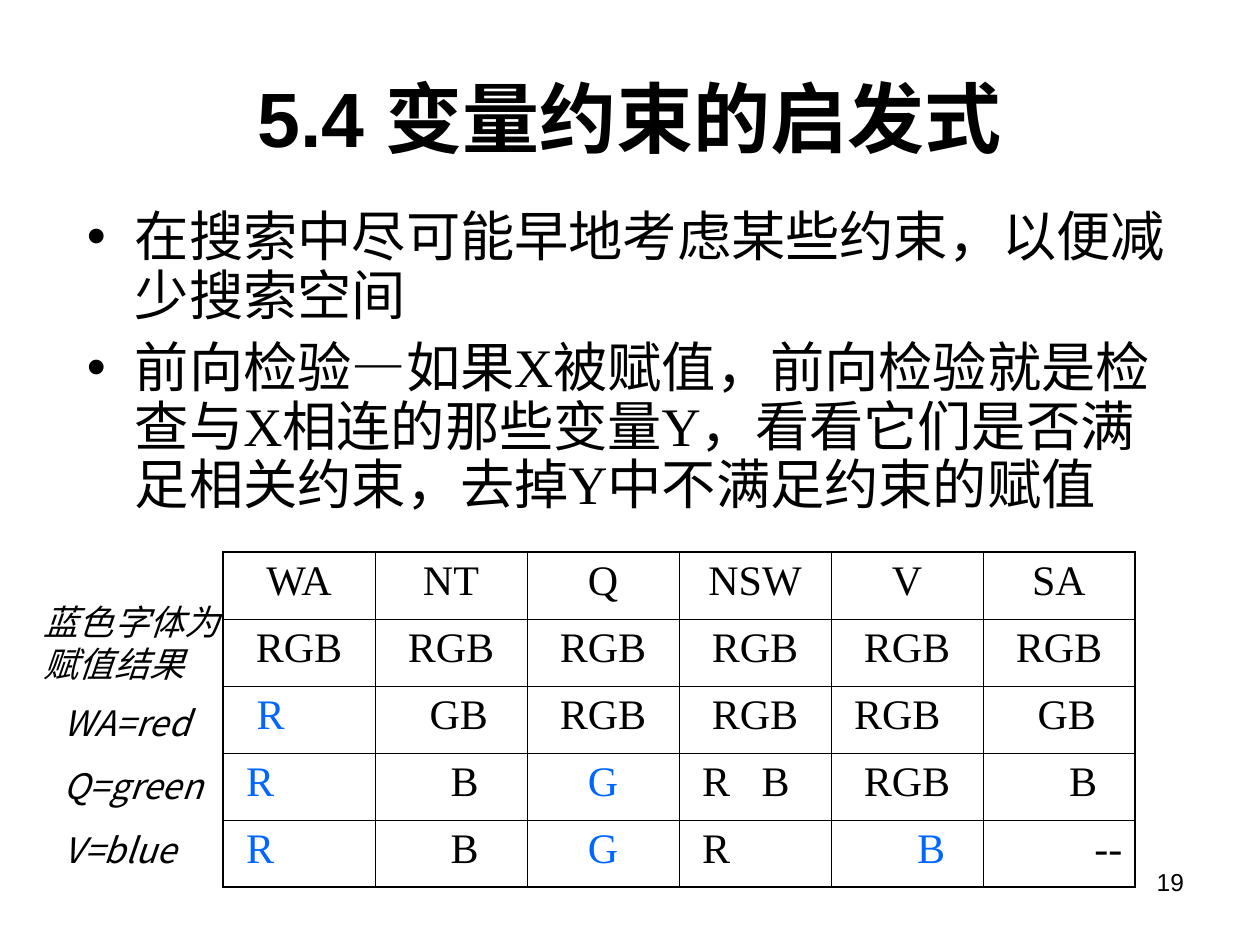
from lxml.etree import SubElement
from pptx import Presentation
from pptx.dml.color import RGBColor
from pptx.enum.text import MSO_ANCHOR, MSO_AUTO_SIZE, PP_ALIGN
from pptx.oxml import parse_xml
from pptx.oxml.ns import nsdecls, qn
from pptx.util import Emu, Pt

COLORS = {"ink": "000000", "assigned": "0066FF"}
LATIN, SERIF, CJK = "Arial", "Times New Roman", "Noto Sans CJK KR"
PADDING = (13, 6, 13, 6)
SPACE = 10.5
THIN, THICK = 0.45, 1.08


def px(length):
    """Turn pixels into EMU."""
    return Emu(round(length * 914400 / 126))


def set_all(target, values):
    """Set every attribute named in a dict."""
    for name, value in values.items():
        setattr(target, name, value)


class SlideBuilder:
    """Holds the text style and the page being built."""

    def __init__(self, page):
        """Keep the page and the shared cell style."""
        self.page = page
        self.cell_style = {"size": Pt(24), "name": SERIF}
        self.cell_para = {"space_before": Pt(6)}

    def spans(self, para, pieces, style, color="ink"):
        """Add (text, overrides) pieces to a paragraph."""
        for text, changes in pieces:
            span = para.add_run()
            span.text = text
            set_all(span.font, style | changes)
            span.font.color.rgb = RGBColor.from_string(COLORS[color])

    def text(self, place, paras, style, para_format, frame_format=None, padding=PADDING, bullet=False):
        """Add a text box with one paragraph per list of pieces."""
        box = self.page.shapes.add_textbox(*map(px, place))
        frame = box.text_frame
        sides = ("margin_left", "margin_top", "margin_right", "margin_bottom")
        set_all(frame, {"word_wrap": True} | dict(zip(sides, map(px, padding))) | (frame_format or {}))
        for index, pieces in enumerate(paras):
            para = frame.add_paragraph() if index else frame.paragraphs[0]
            set_all(para, para_format)
            self.spans(para, pieces, style)
            if bullet:
                self.bullet(para)

    def bullet(self, para):
        """Give a paragraph a hanging bullet."""
        properties = para._p.get_or_add_pPr()
        properties.set("marL", str(px(48)))
        properties.set("indent", str(-px(48)))
        SubElement(properties, qn("a:buFont"), typeface=LATIN)
        SubElement(properties, qn("a:buChar"), char="•")

    def borders(self, cell, widths):
        """Draw the left, right, top and bottom borders of a cell."""
        for index, (side, width) in enumerate(zip("LRTB", widths)):
            line = parse_xml(
                f'<a:ln{side} {nsdecls("a")} w="{Pt(width)}"><a:solidFill>'
                f'<a:srgbClr val="{COLORS["ink"]}"/></a:solidFill></a:ln{side}>'
            )
            cell._tc.get_or_add_tcPr().insert(index, line)

    def fill_cell(self, cell, text, place=PP_ALIGN.CENTER, color="ink"):
        """Write a cell, aligned or indented by a number of spaces."""
        para = cell.text_frame.paragraphs[0]
        set_all(para, self.cell_para)
        if isinstance(place, PP_ALIGN):
            para.alignment = place
        else:
            para.alignment = PP_ALIGN.LEFT
            para._p.get_or_add_pPr().set("marL", str(px(place * SPACE)))
        for index, word in enumerate(text.split(" ")):
            if index:
                self.spans(para, [(" ", {})], self.cell_style)
                para.runs[-1]._r.get_or_add_rPr().set("spc", "1200")
            self.spans(para, [(word, {})], self.cell_style, color)

    def table(self, left, top, column, height, rows):
        """Add a ruled table with a heavier outer frame."""
        last_row, last_column = len(rows) - 1, len(rows[0]) - 1
        size = (column * len(rows[0]), height * len(rows))
        grid = self.page.shapes.add_table(len(rows), len(rows[0]), *map(px, (left, top, *size))).table
        set_all(grid, {"first_row": False, "horz_banding": False})
        for part in grid.columns:
            part.width = px(column)
        for part in grid.rows:
            part.height = px(height)
        for r, row in enumerate(rows):
            for c, content in enumerate(row):
                cell = grid.cell(r, c)
                cell.fill.background()
                self.fill_cell(cell, *content)
                edges = (c == 0, c == last_column, r == 0, r == last_row)
                self.borders(cell, [THICK if edge else THIN for edge in edges])


def main():
    """Build the slide and save the deck."""
    deck = Presentation()
    set_all(deck, {"slide_width": px(1260), "slide_height": px(945)})
    builder = SlideBuilder(deck.slides.add_slide(deck.slide_layouts[6]))

    builder.text(
        (63, 38, 1134, 157),
        [[("5.4 ", {}), ("变量约束的启发式", {"name": SERIF})]],
        {"size": Pt(44), "name": LATIN, "bold": True},
        {"alignment": PP_ALIGN.CENTER},
        {"vertical_anchor": MSO_ANCHOR.MIDDLE},
    )
    checking = "X被赋值，前向检验就是检查与X相连的那些变量Y，看看它们是否满足相关约束，去掉Y中不满足约束的赋值"
    builder.text(
        (74, 204, 1121, 358),
        [
            [("在搜索中尽可能早地考虑某些约束，以便减少搜索空间", {})],
            [("前向检验—如果", {}), (checking, {"name": SERIF})],
        ],
        {"size": Pt(31), "name": LATIN},
        {"line_spacing": 0.9, "space_before": Pt(7.7)},
        bullet=True,
    )

    full = ("RGB",)
    green = ("G", PP_ALIGN.CENTER, "assigned")
    red = ("R", 1, "assigned")
    rows = [
        [(name,) for name in ("WA", "NT", "Q", "NSW", "V", "SA")],
        [full] * 6,
        [("R", 2, "assigned"), ("GB", 4), full, full, ("RGB", 1), ("GB", 4)],
        [red, ("B", 6), green, ("R B", 1), full, ("B", 7)],
        [red, ("B", 6), green, ("R", 1), ("B", 7, "assigned"), ("--", PP_ALIGN.RIGHT)],
    ]
    builder.table(223, 552, 152, 67, rows)

    labels = [
        ((64, 701, 149, 170), ("WA=red", "Q=green", "V=blue")),
        ((44, 601, 179, 84), ("蓝色字体为赋值结果",)),
    ]
    for place, lines in labels:
        builder.text(
            place,
            [[(line, {})] for line in lines],
            {"size": Pt(20), "name": CJK, "italic": True},
            {"space_before": Pt(12.5)},
            {"auto_size": MSO_AUTO_SIZE.SHAPE_TO_FIT_TEXT},
            padding=(0, 0, 0, 0),
        )
    builder.text(
        (903, 861, 294, 66),
        [[("19", {})]],
        {"size": Pt(14), "name": LATIN},
        {"alignment": PP_ALIGN.RIGHT},
    )
    deck.save("out.pptx")


if __name__ == "__main__":
    main()
